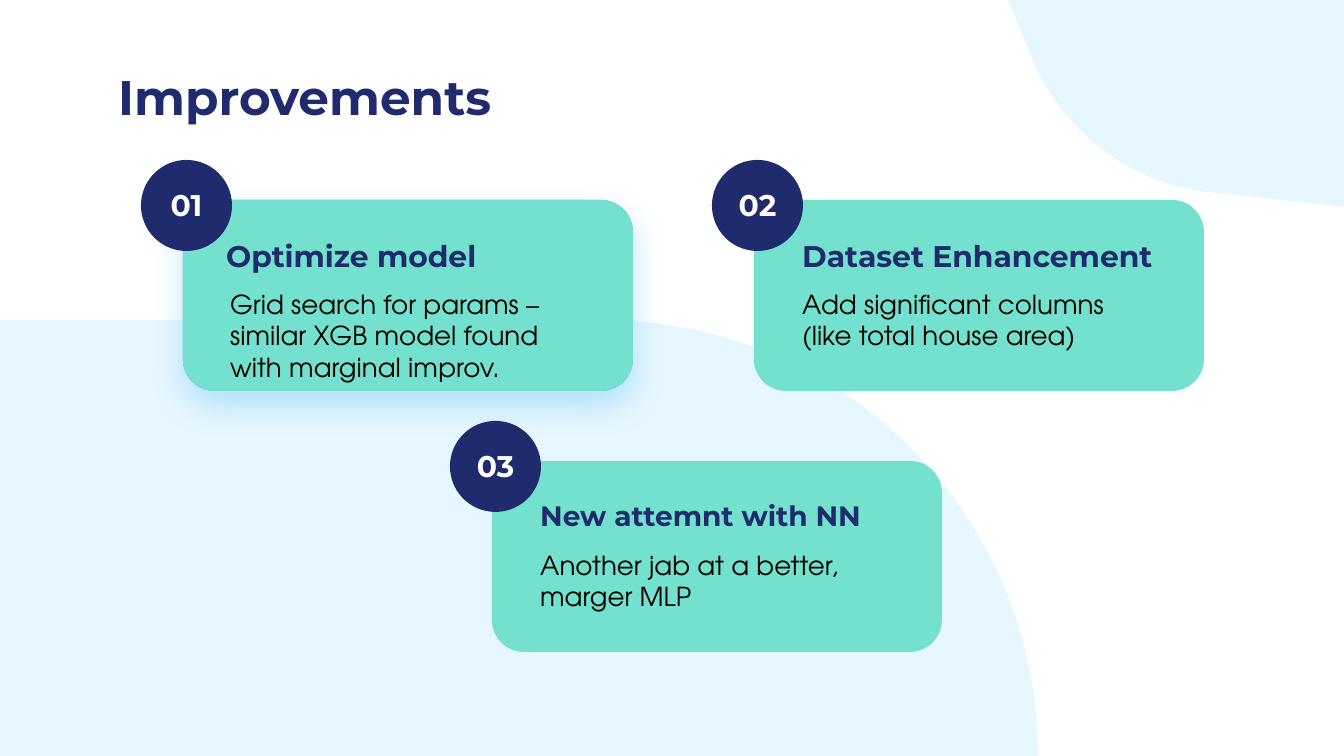
import pptx
import pptx.util
import pptx.dml.color
import pptx.enum.shapes
import pptx.enum.text
import pptx.oxml
import pptx.oxml.ns

RGB = pptx.dml.color.RGBColor
NAVY = RGB(0x1F, 0x2B, 0x6C)
MINT = RGB(0x73, 0xE1, 0xCD)
PALE = RGB(0xE7, 0xF7, 0xFF)
BLUE = RGB(0x15, 0x9F, 0xED)
WHITE = RGB(255, 255, 255)
BLACK = RGB(0, 0, 0)
SHAPE = pptx.enum.shapes.MSO_SHAPE
ALIGN = pptx.enum.text.PP_ALIGN
ANCHOR = pptx.enum.text.MSO_ANCHOR
SCALE = 914400 / 134.4


def emu(px):
    return pptx.util.Emu(round(px * SCALE))


def curve(a, b, c, d, steps=60):
    points = []
    for i in range(steps + 1):
        t = i / steps
        u = 1 - t
        points.append(tuple(
            u**3 * p + 3 * u * u * t * q + 3 * u * t * t * r + t**3 * s
            for p, q, r, s in zip(a, b, c, d)))
    return points


class Deck:
    """Draws styled elements on the current slide in pixel units."""

    head = "Montserrat"
    plain = "TeX Gyre Adventor"

    def __init__(self, wide, high):
        self.file = pptx.Presentation()
        self.file.slide_width = emu(wide)
        self.file.slide_height = emu(high)
        self.slide = self.file.slides.add_slide(self.file.slide_layouts[6])

    def paint(self, shape, color):
        shape.shadow.inherit = False
        shape.fill.solid()
        shape.fill.fore_color.rgb = color
        shape.line.fill.background()
        return shape

    def wave(self, points):
        dots = [(round(x * SCALE), round(y * SCALE)) for x, y in points]
        form = self.slide.shapes.build_freeform(*dots[0])
        form.add_line_segments(dots[1:], close=True)
        return self.paint(form.convert_to_shape(), PALE)

    def shape(self, kind, x, y, w, h, color):
        item = self.slide.shapes.add_shape(kind, emu(x), emu(y), emu(w), emu(h))
        return self.paint(item, color)

    def panel(self, x, y, color):
        return self.shape(SHAPE.ROUNDED_RECTANGLE, x, y, 450, 191, color)

    def glow(self, x, y):
        panel = self.panel(x, y, BLUE)
        effect = panel._element.spPr.find(pptx.oxml.ns.qn("a:effectLst"))
        effect.append(pptx.oxml.parse_xml(
            f'<a:outerShdw {pptx.oxml.ns.nsdecls("a")} blurRad="228600" '
            'dist="95250" dir="5400000" algn="bl" rotWithShape="0">'
            f'<a:srgbClr val="{BLUE}"><a:alpha val="25000"/></a:srgbClr>'
            '</a:outerShdw>'))

    def text(self, words, x, y, w, h, size, color=NAVY, font=head, bold=True,
             align=ALIGN.LEFT, anchor=ANCHOR.TOP):
        box = self.slide.shapes.add_textbox(emu(x), emu(y), emu(w), emu(h))
        frame = box.text_frame
        frame.word_wrap = True
        frame.vertical_anchor = anchor
        frame.margin_left = frame.margin_right = pptx.util.Inches(0.1)
        frame.margin_top = frame.margin_bottom = pptx.util.Inches(0.1)
        frame.text = words
        para = frame.paragraphs[0]
        para.alignment = align
        style = para.runs[0].font
        style.name = font
        style.size = pptx.util.Pt(size)
        style.bold = bold
        style.color.rgb = color

    def card(self, x, y, label, title, body, size=16, inset=35, shift=35):
        self.panel(x, y, MINT)
        self.shape(SHAPE.OVAL, x - 42, y - 40, 91, 91, NAVY)
        self.text(label, x - 36, y - 26, 79, 62, 16, WHITE,
                  align=ALIGN.CENTER, anchor=ANCHOR.MIDDLE)
        self.text(title, x + inset, y + 24, 392, 62, size)
        self.text(body, x + shift, y + 75, 380, 91, 14, BLACK, self.plain, False)


deck = Deck(1344, 756)
deck.wave([(0, 320), (0, 756)]
          + curve((1038, 756), (1038, 515), (843, 320), (602, 320)))
deck.wave([(1344, 207), (1344, 0), (1008, 0)]
          + curve((1035, 65), (1066, 134), (1132, 183), (1208, 192)))
deck.text("Improvements", 105, 54, 1134, 84, 26)
deck.glow(183, 200)
deck.card(183, 200, "01", "Optimize model",
          "Grid search for params – similar XGB model found with marginal improv.",
          inset=30, shift=34)
deck.card(754, 200, "02", "Dataset Enhancement",
          "Add significant columns (like total house area)")
deck.card(492, 461, "03", "New attemnt with NN",
          "Another jab at a better, marger MLP", size=15)
deck.file.save("out.pptx")
